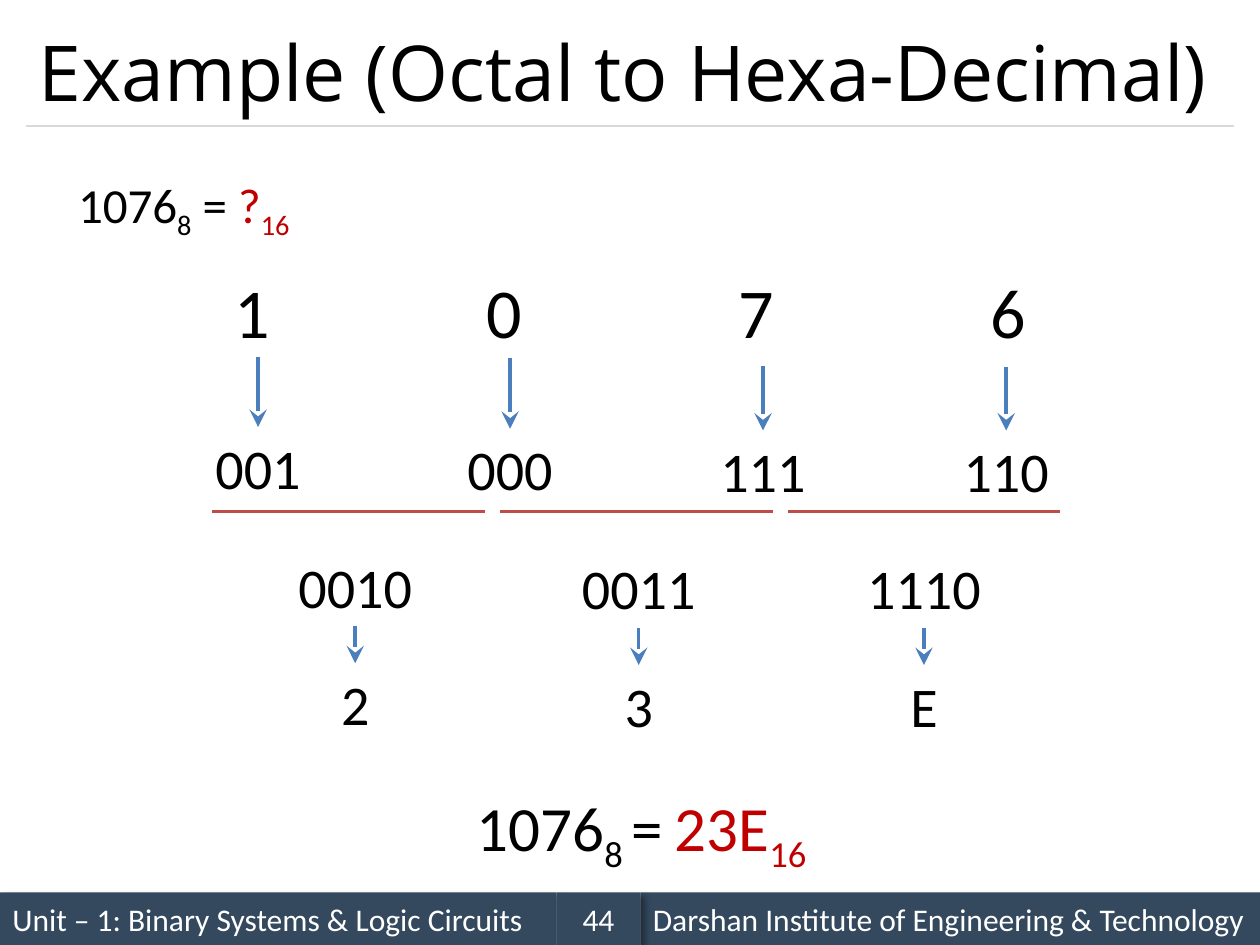
from lxml import etree
from pptx import Presentation
from pptx.dml.color import RGBColor
from pptx.enum import shapes, text
from pptx.oxml import ns
from pptx.util import Pt

BLACK = RGBColor(0x00, 0x00, 0x00)
WHITE = RGBColor(0xFF, 0xFF, 0xFF)
RED = RGBColor(0xC0, 0x00, 0x00)
NAVY = RGBColor(0x34, 0x49, 0x5E)
BLUE = RGBColor(0x4B, 0x7E, 0xBC)
BRICK = RGBColor(0xBF, 0x4C, 0x48)
GREY = RGBColor(0xD9, 0xD9, 0xD9)
CENTER, LEFT = text.PP_ALIGN.CENTER, text.PP_ALIGN.LEFT

LABEL_WIDTH, LABEL_HEIGHT = 82, 46
TAB_WIDTH = 72


def set_font(font, size, color, name="Calibri"):
    """Give a font its name, size and colour."""
    font.name, font.size = name, Pt(size)
    font.color.rgb = color


def add_label(slide, left, top, width, height, size, *pieces, color=BLACK):
    """Add centred text from (words, is_subscript, colour or None) pieces."""
    frame = slide.shapes.add_textbox(Pt(left), Pt(top), Pt(width), Pt(height)).text_frame
    frame.word_wrap = True
    frame.auto_size = text.MSO_AUTO_SIZE.SHAPE_TO_FIT_TEXT
    paragraph = frame.paragraphs[0]
    paragraph.alignment = CENTER
    paragraph._p.get_or_add_pPr().set("defTabSz", str(Pt(TAB_WIDTH)))
    set_font(paragraph.font, size, color)
    for words, is_subscript, accent in pieces:
        run = paragraph.add_run()
        run.text = words
        if is_subscript:
            run._r.get_or_add_rPr().set("baseline", "-25000")
        if accent is not None:
            run.font.color.rgb = accent


def add_line(slide, start, end, color, width=2, arrow=False):
    """Add a straight line, with a stealth arrowhead at its end if asked."""
    line = slide.shapes.add_connector(
        shapes.MSO_CONNECTOR.STRAIGHT, *(Pt(value) for value in (*start, *end)))
    line.line.color.rgb = color
    line.line.width = Pt(width)
    if arrow:
        etree.SubElement(line.line._get_or_add_ln(), ns.qn("a:tailEnd"),
                         type="stealth", w="lg", len="lg")
    etree.SubElement(line._element.spPr, ns.qn("a:effectLst"))


def add_footer_cell(slide, left, width, words, alignment=LEFT):
    """Add one dark footer block with a soft shadow."""
    cell = slide.shapes.add_shape(
        shapes.MSO_SHAPE.RECTANGLE, Pt(left), Pt(510), Pt(width), Pt(30))
    cell.fill.solid()
    cell.fill.fore_color.rgb = NAVY
    cell.line.fill.background()
    cell.shadow.inherit = False
    effects = cell._element.spPr.find(ns.qn("a:effectLst"))
    shadow = etree.SubElement(
        effects, ns.qn("a:outerShdw"), blurRad=str(Pt(4)), dist=str(Pt(3)),
        dir="2700000", algn="tl", rotWithShape="0")
    shade = etree.SubElement(shadow, ns.qn("a:srgbClr"), val=str(BLACK))
    etree.SubElement(shade, ns.qn("a:alpha"), val="40000")
    frame = cell.text_frame
    frame.word_wrap = True
    frame.vertical_anchor = text.MSO_ANCHOR.MIDDLE
    frame.text = words
    frame.paragraphs[0].alignment = alignment
    set_font(frame.paragraphs[0].font, 18, WHITE)


def add_title(slide, words):
    """Fill and place the title with the rule beneath it."""
    title = slide.shapes.title
    title.left, title.top, title.width, title.height = Pt(15), Pt(9), Pt(690), Pt(63)
    frame = title.text_frame
    frame.text = words
    frame.auto_size = text.MSO_AUTO_SIZE.NONE
    frame.vertical_anchor = text.MSO_ANCHOR.MIDDLE
    frame.paragraphs[0].alignment = LEFT
    set_font(frame.paragraphs[0].font, 44, BLACK, "Open Sans")
    add_line(slide, (15, 72), (705, 72), GREY, 0.75)


def add_bits(slide, center, top, bits):
    """Add a group of bits or a digit centred on a column."""
    add_label(slide, center - LABEL_WIDTH / 2, top, LABEL_WIDTH, LABEL_HEIGHT, 32,
              (bits, False, None))


def add_octal_step(slide):
    """Expand each octal digit into three bits."""
    columns = [("1", "001", 147.5, 204, 244), ("0", "000", 291.5, 204.5, 245),
               ("7", "111", 436, 209, 246), ("6", "110", 575, 209.5, 246)]
    digits = "\t\t".join(column[0] for column in columns)
    add_label(slide, 114, 150, 492, 55.5, 40, (digits, False, None))
    for _, bits, center, arrow_top, bits_top in columns:
        add_bits(slide, center, bits_top, bits)
        add_line(slide, (center, arrow_top), (center, bits_top), BLUE, arrow=True)


def add_hex_step(slide):
    """Regroup the bits by four and turn each group into a hex digit."""
    columns = [("0010", "2", 203, 312), ("0011", "3", 365, 313), ("1110", "E", 528, 313)]
    for index, (nibble, digit, center, top) in enumerate(columns):
        digit_top = top + 67
        group_left = 121 + index * 164.5
        add_line(slide, (group_left, 292.3), (group_left + 156, 292.3), BRICK)
        add_bits(slide, center, top, nibble)
        add_bits(slide, center, digit_top, digit)
        add_line(slide, (center, top + LABEL_HEIGHT), (center, digit_top), BLUE, arrow=True)


def main():
    """Build the slide and save it."""
    deck = Presentation()
    deck.slide_width, deck.slide_height = Pt(720), Pt(540)
    slide = deck.slides.add_slide(deck.slide_layouts[5])

    add_footer_cell(slide, 0, 318, "Unit – 1: Binary Systems & Logic Circuits")
    add_footer_cell(slide, 366, 354, "Darshan Institute of Engineering & Technology")
    add_footer_cell(slide, 318, 48, "44", CENTER)
    add_title(slide, "Example (Octal to Hexa-Decimal)")

    add_label(slide, 24, 96, 162, 41, 28, ("1076", False, None), ("8", True, None),
              (" = ", False, None), ("?", False, RED), ("16", True, RED))
    add_octal_step(slide)
    add_hex_step(slide)
    add_label(slide, 261.5, 447, 128, 51, 36,
              ("1076", False, None), ("8 ", True, None), ("=", False, None))
    add_label(slide, 366, 447, 114.5, 51, 36,
              ("23E", False, None), ("16", True, None), color=RED)

    deck.save("out.pptx")


if __name__ == "__main__":
    main()
